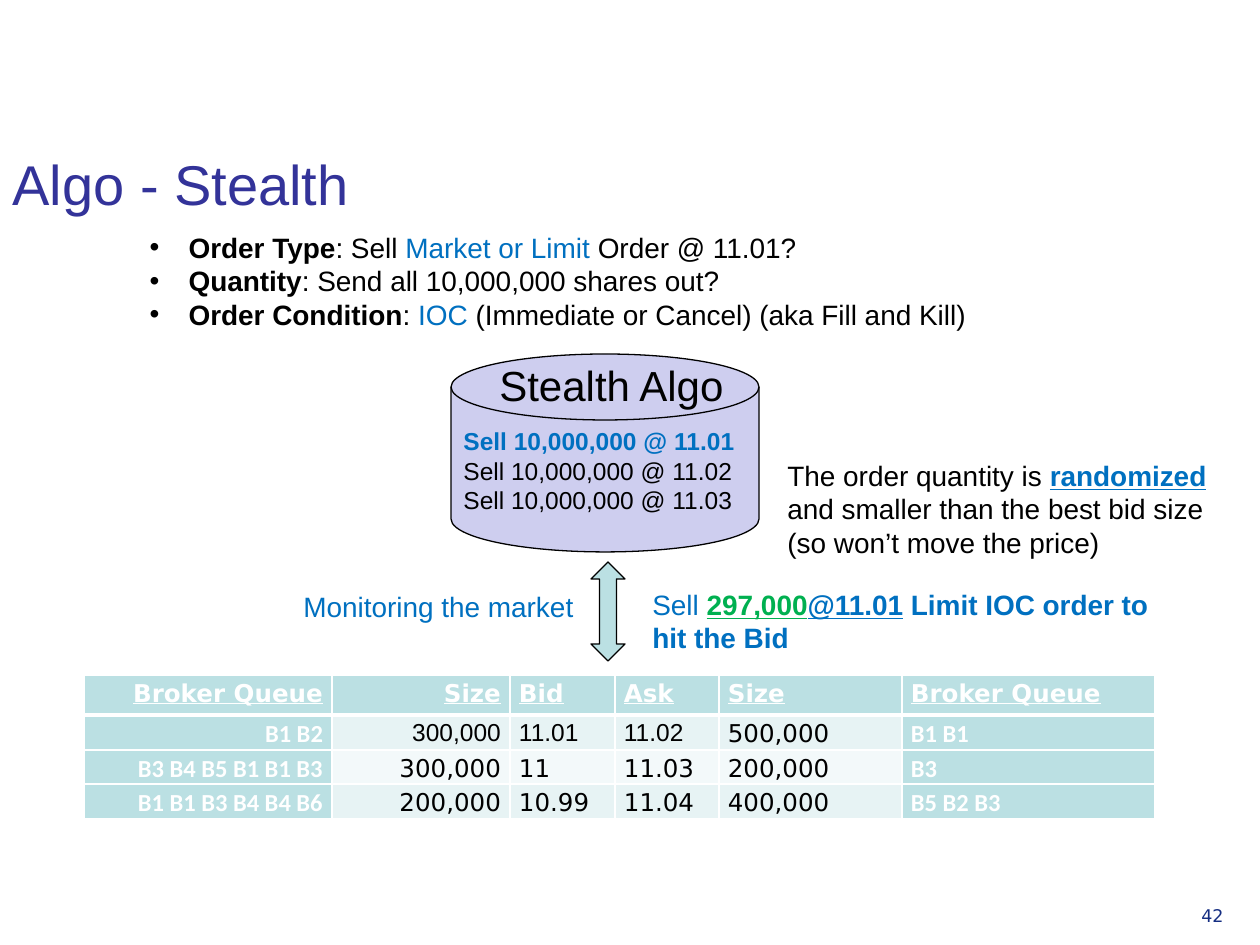
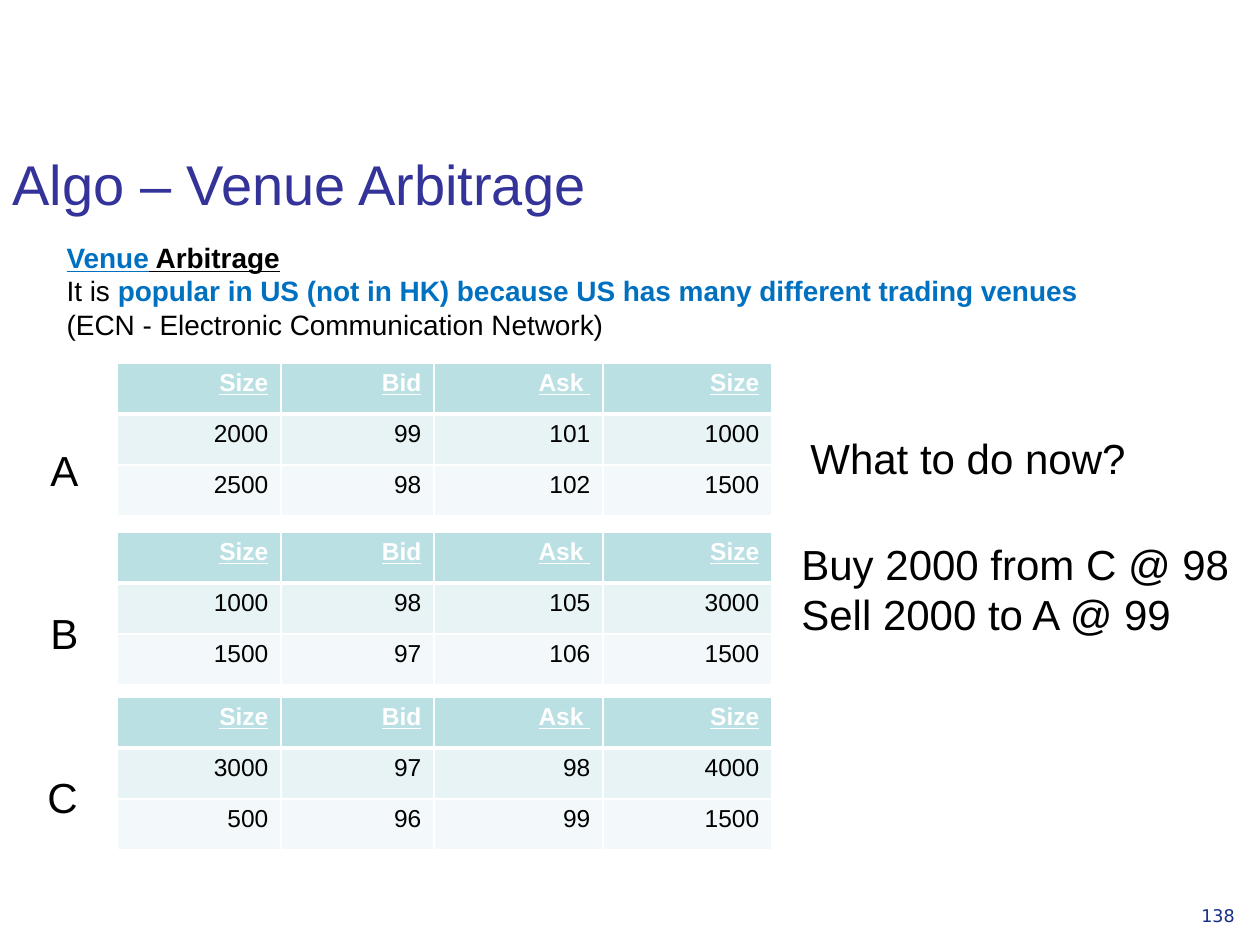
from lxml import etree
from pptx import Presentation
from pptx import util as u
from pptx.dml.color import RGBColor
from pptx.enum import shapes, text
from pptx.oxml import ns

PX = u.Inches(1) / 126

# Shared look
BLACK, WHITE, BLUE, GREEN = "000000", "FFFFFF", "0070C0", "00B050"
TITLE_BLUE, NUMBER_BLUE = "333399", "152E82"
TEAL, LILAC = "BBE0E3", "CECEEF"
BANDS = ["E7F3F4", "F3F9FA"]
SANS, WIDE, NARROW = "Arial", "DejaVu Sans", "Calibri"
LEFT, RIGHT = text.PP_ALIGN.LEFT, text.PP_ALIGN.RIGHT
TITLE_BOX = (0, 86, 1113, 137)
NUMBER_BOX = (1189, 899, 69, 49)

# Content: a run is a string, or (string, colour, flags) with b = bold, u = underlined
STEALTH = {
    "title": "Algo - Stealth",
    "number": "42",
    "body_box": (74, 224, 1111, 115),
    "body": [
        [("Order Type", BLACK, "b"), ": Sell ", ("Market or Limit", BLUE, ""), " Order @ 11.01?"],
        [("Quantity", BLACK, "b"), ": Send all 10,000,000 shares out?"],
        [("Order Condition", BLACK, "b"), ": ", ("IOC", BLUE, ""),
         " (Immediate or Cancel) (aka Fill and Kill)"],
    ],
}
ALGO_ORDERS = [
    [("Sell 10,000,000 @ 11.01", BLUE, "b")],
    ["Sell 10,000,000 @ 11.02"],
    ["Sell 10,000,000 @ 11.03"],
]
# Notes: box, size, wrap, paragraphs
STEALTH_NOTES = [
    ((640, 581, 543, 81), 16, True,
     [[("Sell ", BLUE, ""), ("297,000", GREEN, "bu"), ("@11.01", BLUE, "bu"),
       (" Limit IOC order to hit the Bid", BLUE, "b")]]),
    ((291, 583, 299, 47), 16, False, [[("Monitoring the market", BLUE, "")]]),
    ((775, 452, 449, 115), 16, True,
     [["The order quantity is ", ("randomized", BLUE, "bu"),
       " and smaller than the best bid size (so won’t move the price)"]]),
]
ORDER_BOOK = [
    ["Broker Queue", "Size", "Bid", "Ask", "Size", "Broker Queue"],
    ["B1 B2", "300,000", "11.01", "11.02", "500,000", "B1 B1"],
    ["B3 B4 B5 B1 B1 B3", "300,000", "11", "11.03", "200,000", "B3"],
    ["B1 B1 B3 B4 B4 B6", "200,000", "10.99", "11.04", "400,000", "B5 B2 B3"],
]
BOOK_COLS, BOOK_ROWS = [248, 178, 105, 104, 183, 253], [40, 35, 34, 35]

ARBITRAGE = {
    "title": "Algo – Venue Arbitrage",
    "number": "138",
    "body_box": (54, 234, 1042, 115),
    "body": [
        [("Venue", BLUE, "bu"), (" Arbitrage", BLACK, "bu")],
        ["It is ",
         ("popular in US (not in HK) because US has many different trading venues", BLUE, "b"),
         " (ECN - Electronic Communication Network)"],
    ],
}
VENUE_HEADER = ["Size", "Bid", "Ask ", "Size"]
# Venues: name, label box, table top, quotes
VENUES = [
    ("A", (38, 438, 54, 63), 363, [["2000", "99", "101", "1000"], ["2500", "98", "102", "1500"]]),
    ("B", (38, 601, 54, 63), 532, [["1000", "98", "105", "3000"], ["1500", "97", "106", "1500"]]),
    ("C", (35, 765, 57, 63), 697, [["3000", "97", "98", "4000"], ["500", "96", "99", "1500"]]),
]
VENUE_COLS, VENUE_ROWS = [164, 153, 169, 169], [51, 51, 51]
ARBITRAGE_NOTES = [
    ((798, 426, 344, 63), 24, False, [["What to do now?"]]),
    ((789, 532, 457, 115), 24, False, [["Buy 2000 from C @ 98"], ["Sell 2000 to A @ 99"]]),
]


def px(length):
    return u.Emu(round(length * PX))


def place(box):
    return [px(length) for length in box]


def color(hex_string):
    return RGBColor.from_string(hex_string)


def write(frame, paragraphs, size, font=SANS, align=LEFT, spacing=None):
    for i, runs in enumerate(paragraphs):
        para = frame.paragraphs[0] if i == 0 else frame.add_paragraph()
        para.alignment = align
        para.space_before = u.Pt(0)
        if spacing:
            para.line_spacing = spacing
        for part in runs:
            words, ink, flags = (part, BLACK, "") if isinstance(part, str) else part
            run = para.add_run()
            run.text = words
            run.font.name, run.font.size = font, u.Pt(size)
            run.font.bold, run.font.underline = "b" in flags, "u" in flags
            run.font.color.rgb = color(ink)


def note(parent, box, size, wrap, paragraphs, font=SANS):
    frame = parent.add_textbox(*place(box)).text_frame
    frame.word_wrap = wrap
    write(frame, paragraphs, size, font)


def outlined(parent, kind, box, fill):
    shape = parent.add_shape(kind, *place(box))
    shape.shadow.inherit = False
    shape.fill.solid()
    shape.fill.fore_color.rgb = color(fill)
    shape.line.color.rgb = color(BLACK)
    shape.line.width = u.Pt(0.75)
    return shape


def set_bullets(frame, bullet):
    for para in frame.paragraphs:
        props = para._p.get_or_add_pPr()
        props.set("marL", str(px(102) if bullet else 0))
        props.set("indent", str(px(-39) if bullet else 0))
        if bullet:
            para.level = 1
            etree.SubElement(props, ns.qn("a:buFont"), typeface=SANS)
            etree.SubElement(props, ns.qn("a:buChar"), char=bullet)
        else:
            etree.SubElement(props, ns.qn("a:buNone"))


def start_slide(prs, content, bullet=None):
    slide = prs.slides.add_slide(prs.slide_layouts[1])
    title, body = slide.placeholders
    for holder, box in ((title, TITLE_BOX), (body, content["body_box"])):
        holder.left, holder.top, holder.width, holder.height = place(box)
        holder.text_frame.word_wrap = True
        holder.text_frame.auto_size = text.MSO_AUTO_SIZE.NONE
    title.text_frame.vertical_anchor = text.MSO_ANCHOR.BOTTOM
    body.text_frame.vertical_anchor = text.MSO_ANCHOR.TOP
    write(title.text_frame, [[(content["title"], TITLE_BLUE, "")]], 32)
    write(body.text_frame, content["body"], 16)
    set_bullets(body.text_frame, bullet)
    note(slide.shapes, NUMBER_BOX, 10, True, [[(content["number"], NUMBER_BLUE, "")]], WIDE)
    return slide


def set_borders(cell, top, bottom):
    props = cell._tc.get_or_add_tcPr()
    for i, (side, points) in enumerate(zip("LRTB", (1, 1, top, bottom))):
        line = etree.Element(ns.qn(f"a:ln{side}"), w=str(u.Pt(points)))
        fill = etree.SubElement(line, ns.qn("a:solidFill"))
        etree.SubElement(fill, ns.qn("a:srgbClr"), val=WHITE)
        props.insert(i, line)


def add_grid(slide, left, top, cols, rows, values, look, margins=None, spacing=None):
    """look(row, column) gives fill, font, colour, flags and alignment of a cell."""
    table = slide.shapes.add_table(len(rows), len(cols),
                                   *place((left, top, sum(cols), sum(rows)))).table
    for column, width in zip(table.columns, cols):
        column.width = px(width)
    for r, height in enumerate(rows):
        table.rows[r].height = px(height)
        for c, value in enumerate(values[r]):
            cell = table.cell(r, c)
            fill, font, ink, flags, align = look(r, c)
            if margins:
                cell.margin_left = cell.margin_right = px(margins[0])
                cell.margin_top = cell.margin_bottom = px(margins[1])
            cell.fill.solid()
            cell.fill.fore_color.rgb = color(fill)
            set_borders(cell, 3 if r == 1 else 1, 3 if r == 0 else 1)
            write(cell.text_frame, [[(value, ink, flags)]], 14, font, align, spacing)


def book_look(r, c):
    align = RIGHT if c < 2 else LEFT
    if r == 0:
        return TEAL, WIDE, WHITE, "bu", align
    if c in (0, 5):
        return TEAL, NARROW, WHITE, "b", align
    font = SANS if r == 1 and c < 4 else WIDE
    return BANDS[(r - 1) % 2], font, BLACK, "", align


def venue_look(r, c):
    if r == 0:
        return TEAL, SANS, WHITE, "bu", RIGHT
    return BANDS[(r - 1) % 2], SANS, BLACK, "", RIGHT


def build_stealth(prs):
    slide = start_slide(prs, STEALTH, "•")
    add_grid(slide, 84, 675, BOOK_COLS, BOOK_ROWS, ORDER_BOOK, book_look, (9, 0), 1.15)
    # Algo store with its caption
    store = slide.shapes.add_group_shape().shapes
    disk = outlined(store, shapes.MSO_SHAPE.FLOWCHART_MAGNETIC_DISK, (451, 354, 308, 198), LILAC)
    disk.text_frame.vertical_anchor = text.MSO_ANCHOR.TOP
    write(disk.text_frame, ALGO_ORDERS, 14)
    note(store, (487, 353, 252, 63), 24, False, [["Stealth Algo"]])
    # Link between algo and market
    outlined(slide.shapes, shapes.MSO_SHAPE.UP_DOWN_ARROW, (591, 562, 34, 99), TEAL)
    for remark in STEALTH_NOTES:
        note(slide.shapes, *remark)


def build_arbitrage(prs):
    slide = start_slide(prs, ARBITRAGE)
    for name, label_box, top, quotes in VENUES:
        add_grid(slide, 117, top, VENUE_COLS, VENUE_ROWS, [VENUE_HEADER] + quotes, venue_look)
        note(slide.shapes, label_box, 24, False, [[name]])
    for remark in ARBITRAGE_NOTES:
        note(slide.shapes, *remark)


def main():
    prs = Presentation()
    prs.slide_width, prs.slide_height = px(1260), px(945)
    build_stealth(prs)
    build_arbitrage(prs)
    prs.save("out.pptx")


if __name__ == "__main__":
    main()
